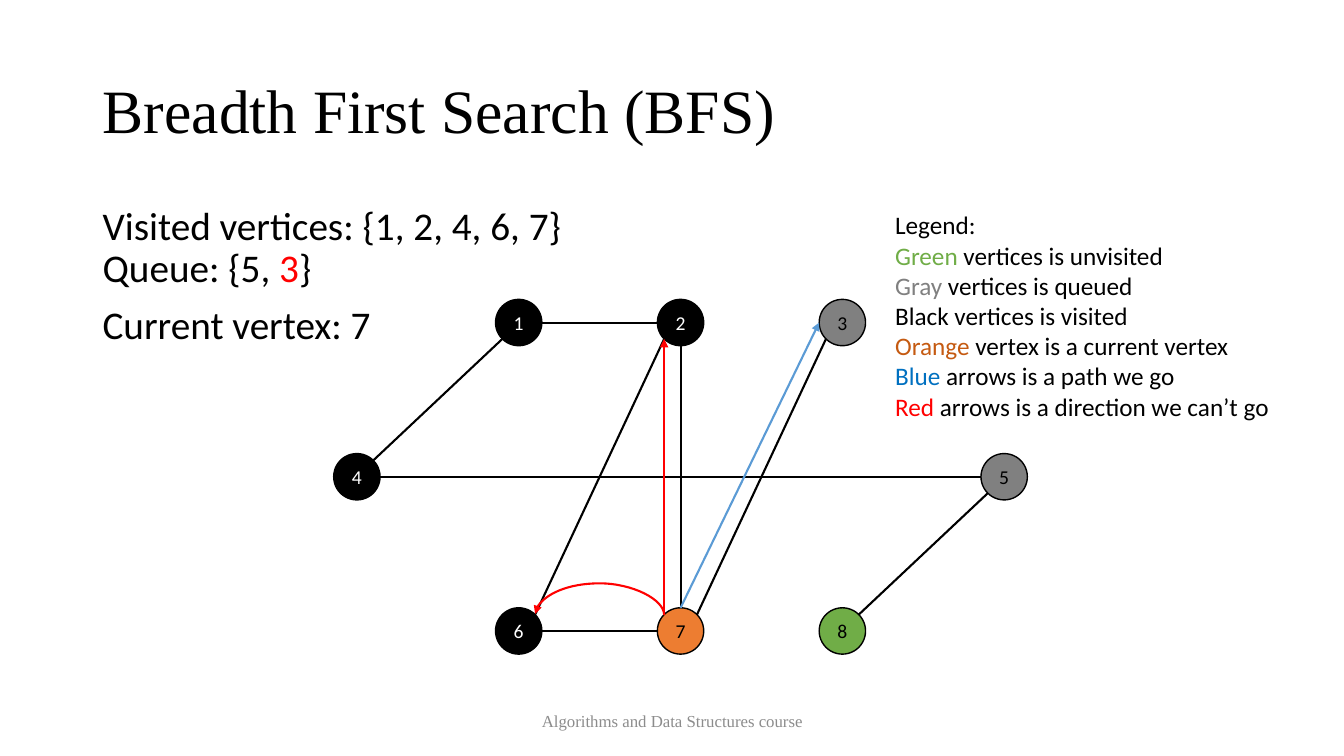
from dataclasses import dataclass
from math import cos, radians, sin

from lxml import etree
from pptx import Presentation
from pptx import util as u
from pptx.dml.color import RGBColor
from pptx.enum import shapes, text
from pptx.oxml import ns


@dataclass(frozen=True)
class Theme:
    black: str = "000000"
    white: str = "FFFFFF"
    gray: str = "808080"
    mute: str = "8C8C8C"
    green: str = "70AD47"
    orange: str = "ED7D31"
    rust: str = "C55A11"
    red: str = "FF0000"
    blue: str = "0070C0"
    sky: str = "5B9BD5"
    serif: str = "Times New Roman"
    sans: str = "Calibri"
    head: int = 44
    body: int = 28
    key: int = 18
    label: int = 14
    foot: int = 12


T = Theme()
SIZE = 0.46
LEFT, TOP = 3.54, 3.2
COL, ROW = 6.42 / 4, 1.53

NODES = {
    "1": (1, 0, T.black, T.white),
    "2": (2, 0, T.black, T.white),
    "4": (0, 1, T.black, T.white),
    "6": (1, 2, T.black, T.white),
    "7": (2, 2, T.orange, T.black),
    "8": (3, 2, T.green, T.black),
    "5": (4, 1, T.gray, T.black),
    "3": (3, 0, T.gray, T.black),
}

EDGES = [
    ("4", 45, "1", 225),
    ("4", 0, "5", 180),
    ("1", 0, "2", 180),
    ("2", 270, "7", 90),
    ("2", 225, "6", 45),
    ("6", 0, "7", 180),
    ("7", 45, "3", 225),
    ("5", 225, "8", 45),
]

LEGEND = [
    [("Legend:", T.black)],
    [("Green", T.green), (" vertices is unvisited", T.black)],
    [("Gray", T.gray), (" vertices is queued", T.black)],
    [("Black vertices is visited", T.black)],
    [("Orange", T.rust), (" vertex is a current vertex", T.black)],
    [("Blue", T.blue), (" arrows is a path we go", T.black)],
    [("Red", T.red), (" arrows is a direction we can’t go", T.black)],
]


def color(code):
    return RGBColor.from_string(code)


def add_run(para, words, size, code, font=T.sans):
    run = para.add_run()
    run.text = words
    run.font.size = u.Pt(size)
    run.font.name = font
    run.font.color.rgb = color(code)


def add_box(slide, *area):
    frame = slide.shapes.add_textbox(*map(u.Inches, area)).text_frame
    frame.word_wrap = True
    return frame


def add_title(slide, words):
    title = slide.shapes.title
    title.left, title.top, title.width, title.height = map(
        u.Inches, (0.92, 0.4, 11.5, 1.45))
    title.text_frame.vertical_anchor = text.MSO_ANCHOR.MIDDLE
    para = title.text_frame.paragraphs[0]
    para.alignment = text.PP_ALIGN.LEFT
    para.line_spacing = 0.9
    add_run(para, words, T.head, T.black, T.serif)


def add_state(slide):
    frame = add_box(slide, 0.92, 2, 11.5, 4.76)
    sets = frame.paragraphs[0]
    add_run(sets, "Visited vertices: {1, 2, 4, 6, 7}", T.body, T.black)
    sets.add_line_break()
    for words, code in (("Queue: {5, ", T.black), ("3", T.red), ("}", T.black)):
        add_run(sets, words, T.body, code)
    current = frame.add_paragraph()
    current.space_before = u.Pt(10)
    add_run(current, "Current vertex: 7", T.body, T.black)
    for para in frame.paragraphs:
        para.line_spacing = 0.9


def add_legend(slide):
    frame = add_box(slide, 8.78, 2.03, 3.96, 2.22)
    frame.auto_size = text.MSO_AUTO_SIZE.SHAPE_TO_FIT_TEXT
    for index, parts in enumerate(LEGEND):
        para = frame.add_paragraph() if index else frame.paragraphs[0]
        for words, code in parts:
            add_run(para, words, T.key, code)


def add_footer(slide, words):
    frame = add_box(slide, 4.42, 6.95, 4.5, 0.4)
    frame.vertical_anchor = text.MSO_ANCHOR.MIDDLE
    para = frame.paragraphs[0]
    para.alignment = text.PP_ALIGN.CENTER
    add_run(para, words, T.foot, T.mute, T.serif)


def center(name):
    col, row = NODES[name][:2]
    return LEFT + col * COL, TOP + row * ROW


def rim(name, angle):
    x, y = center(name)
    turn = radians(angle)
    return x + SIZE / 2 * cos(turn), y - SIZE / 2 * sin(turn)


def add_node(slide, name):
    fill, ink = NODES[name][2:]
    x, y = center(name)
    node = slide.shapes.add_shape(
        shapes.MSO_SHAPE.OVAL,
        *map(u.Inches, (x - SIZE / 2, y - SIZE / 2, SIZE, SIZE)))
    node.shadow.inherit = False
    node.fill.solid()
    node.fill.fore_color.rgb = color(fill)
    node.line.color.rgb = color(T.black)
    node.line.width = u.Pt(1)
    node.text_frame.vertical_anchor = text.MSO_ANCHOR.MIDDLE
    para = node.text_frame.paragraphs[0]
    para.alignment = text.PP_ALIGN.CENTER
    add_run(para, name, T.label, ink)


def add_line(slide, start, end, code=T.black, arrow=False,
             kind=shapes.MSO_CONNECTOR.STRAIGHT):
    line = slide.shapes.add_connector(kind, *map(u.Inches, (*start, *end)))
    line.line.color.rgb = color(code)
    line.line.width = u.Pt(1.5)
    if arrow:
        etree.SubElement(line.line._get_or_add_ln(), ns.qn("a:tailEnd"),
                         type="triangle")
    etree.SubElement(line._element.spPr, ns.qn("a:effectLst"))
    return line


def add_arc(slide, start, end, rise, code):
    x, y = (start[0] + end[0]) / 2, (start[1] + end[1]) / 2
    half, thin = (start[0] - end[0]) / 2, 0.01
    line = add_line(slide, (x - thin / 2, y + half), (x + thin / 2, y - half),
                    code, True, shapes.MSO_CONNECTOR.CURVE)
    props = line._element.spPr
    props.find(ns.qn("a:xfrm")).set("rot", str(270 * 60000))
    guides = props.find(ns.qn("a:prstGeom")).find(ns.qn("a:avLst"))
    etree.SubElement(guides, ns.qn("a:gd"), name="adj1",
                     fmla=f"val {round(rise / thin * 100000)}")


def main():
    deck = Presentation()
    deck.slide_width, deck.slide_height = u.Inches(13.33), u.Inches(7.5)
    slide = deck.slides.add_slide(deck.slide_layouts[5])
    add_title(slide, "Breadth First Search (BFS)")
    add_footer(slide, "Algorithms and Data Structures course")
    add_state(slide)
    for name in NODES:
        add_node(slide, name)
    for first, out, last, into in EDGES:
        add_line(slide, rim(first, out), rim(last, into))
    add_legend(slide)
    add_arc(slide, rim("7", 135), rim("6", 45), 0.32, T.red)
    add_line(slide, rim("7", 135), rim("2", 225), T.red, True)
    add_line(slide, rim("7", 90), rim("3", 180), T.sky, True)
    deck.save("out.pptx")


if __name__ == "__main__":
    main()
